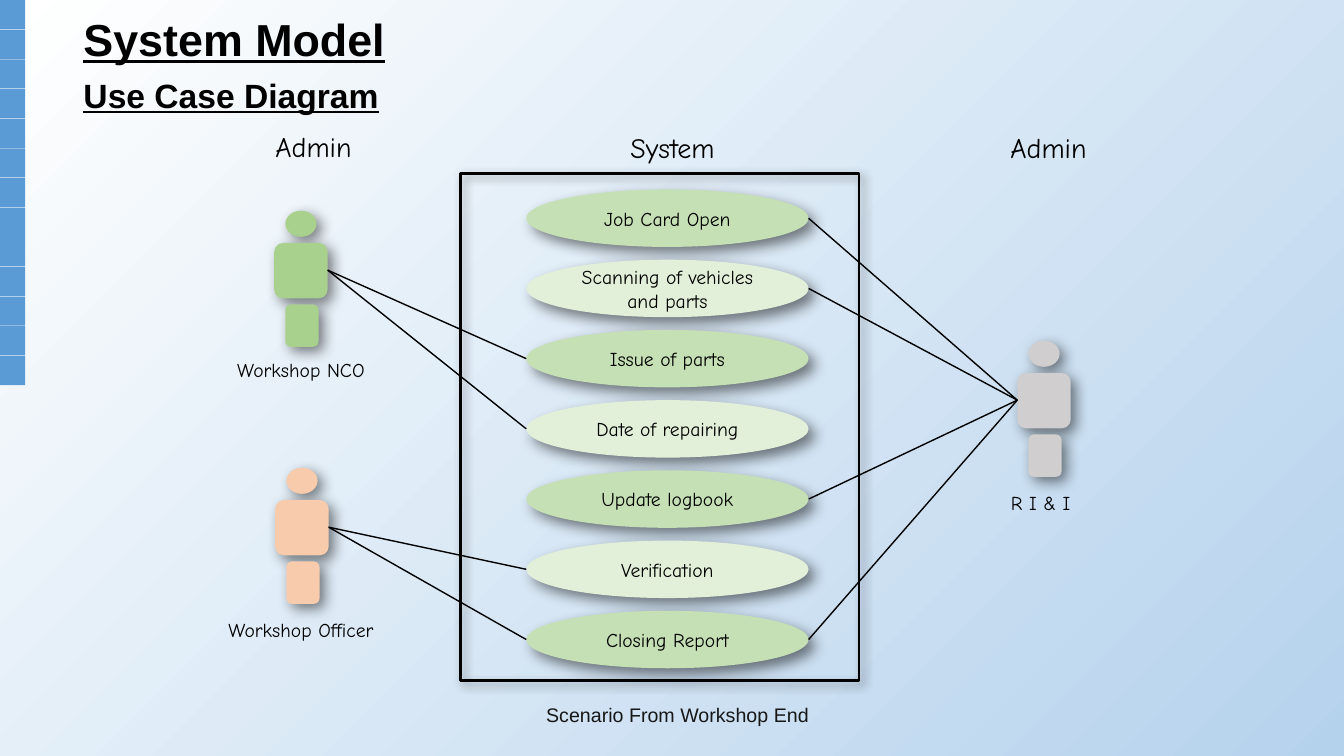
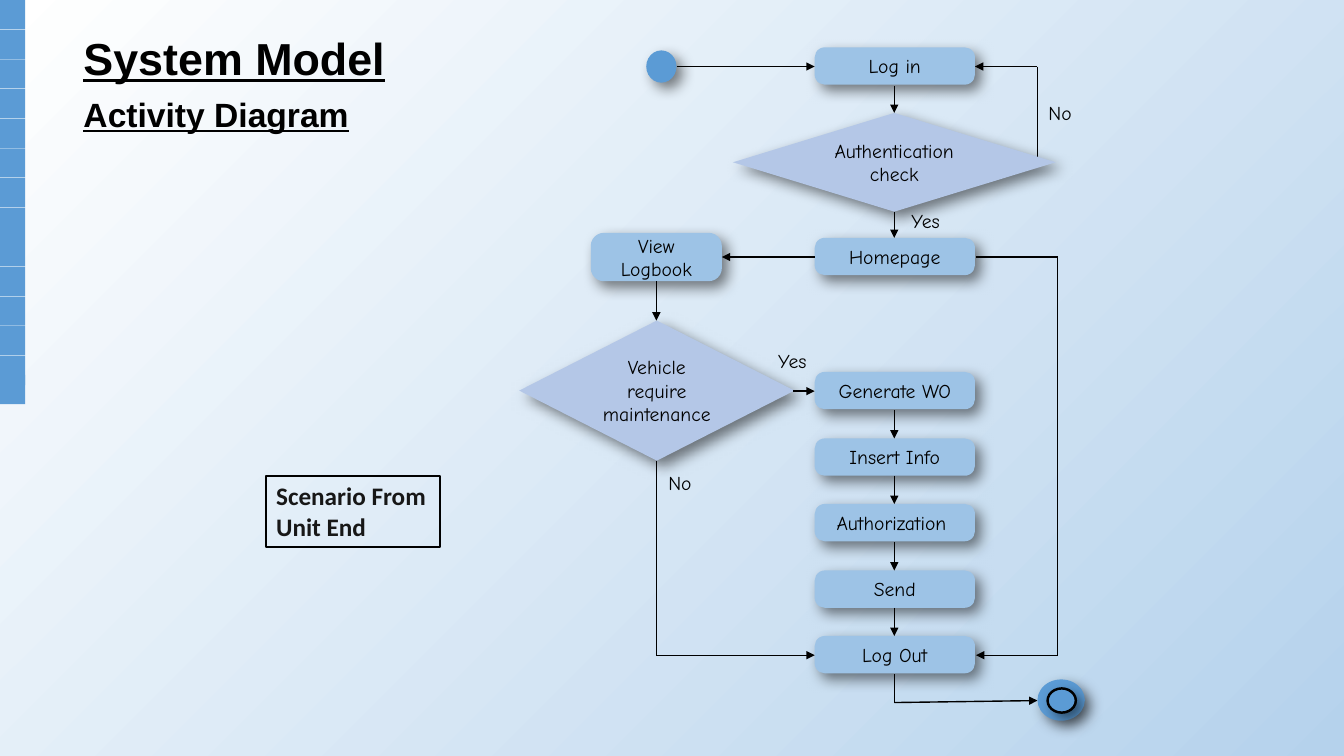
from pptx import Presentation
from pptx.dml.color import RGBColor
from pptx.enum import shapes, text
from pptx.oxml import parse_xml
from pptx.oxml.ns import nsdecls, qn
from pptx.util import Inches, Pt

BLACK = RGBColor(0x00, 0x00, 0x00)
INK = RGBColor(0x17, 0x17, 0x17)
WHITE = RGBColor(0xFF, 0xFF, 0xFF)
SKY = RGBColor(0xB5, 0xD2, 0xEC)
BLUE = RGBColor(0x5B, 0x9B, 0xD5)
STEP = RGBColor(0x9D, 0xC3, 0xE6)
DECISION = RGBColor(0xB4, 0xC7, 0xE7)
GREEN = RGBColor(0xC5, 0xE0, 0xB4)
PALE_GREEN = RGBColor(0xE2, 0xF0, 0xD9)
NCO = RGBColor(0xA9, 0xD1, 0x8E)
OFFICER = RGBColor(0xF8, 0xCB, 0xAD)
INSPECTOR = RGBColor(0xD0, 0xCE, 0xCE)

HAND = "Comic Neue"
SANS = "Arial"
KIND = shapes.MSO_SHAPE
LEFT, CENTER = text.PP_ALIGN.LEFT, text.PP_ALIGN.CENTER
TOP, MIDDLE, BOTTOM = text.MSO_ANCHOR.TOP, text.MSO_ANCHOR.MIDDLE, text.MSO_ANCHOR.BOTTOM


def add_box(s, kind, at, label="", fill=None, line=0, shadow=None, size=14, font=HAND,
            color=BLACK, bold=False, underline=False, align=CENTER, anchor=MIDDLE):
    at = [Inches(v) for v in at]
    if kind is None:
        sp = s.shapes.add_textbox(*at)
    else:
        sp = s.shapes.add_shape(kind, *at)
        sp.shadow.inherit = False
        if fill is None:
            sp.fill.background()
        else:
            sp.fill.solid()
            sp.fill.fore_color.rgb = fill
        if line:
            sp.line.color.rgb = BLACK
            sp.line.width = Pt(line)
        else:
            sp.line.fill.background()
    if shadow:
        alpha, blur, dist = shadow
        sp._element.spPr.find(qn("a:effectLst")).append(parse_xml(
            f'<a:outerShdw {nsdecls("a")} blurRad="{Pt(blur)}" dist="{Pt(dist)}" dir="2700000"'
            f' algn="tl" rotWithShape="0"><a:srgbClr val="000000">'
            f'<a:alpha val="{alpha * 1000}"/></a:srgbClr></a:outerShdw>'))
    if label:
        tf = sp.text_frame
        tf.word_wrap = True
        tf.vertical_anchor = anchor
        tf.text = label
        for p in tf.paragraphs:
            p.alignment = align
            p.font.name = font
            p.font.size = Pt(size)
            p.font.color.rgb = color
            p.font.bold = bold
            p.font.underline = underline
    return sp


def add_route(s, points, arrow=False):
    for start, end in zip(points, points[1:]):
        cx = s.shapes.add_connector(shapes.MSO_CONNECTOR.STRAIGHT,
                                    *[Inches(v) for v in start + end])
        cx.line.color.rgb = BLACK
        cx.line.width = Pt(1)
        cx._element.spPr.append(parse_xml(f'<a:effectLst {nsdecls("a")}/>'))
    if arrow:
        cx.line._get_or_add_ln().append(parse_xml(f'<a:tailEnd {nsdecls("a")} type="triangle"/>'))


prs = Presentation()
prs.slide_width = Inches(13.33)
prs.slide_height = Inches(7.5)

slides = []
for subtitle, title_top, band_tops in [
    ("Use Case Diagram", -0.14, [i * 3.53 / 12 for i in range(13)]),
    ("Activity Diagram", 0.05, [i * 3.53 / 12 for i in range(13)] + [3.72]),
]:
    s = prs.slides.add_slide(prs.slide_layouts[6])
    slides.append(s)
    bg = s.background.fill
    bg.gradient()
    bg.gradient_angle = 315
    for stop, position, color in zip(bg.gradient_stops, (0, 1), (WHITE, SKY)):
        stop.position = position
        stop.color.rgb = color
    for top in band_tops:
        add_box(s, KIND.RECTANGLE, (0, top, 0.25, 0.29), fill=BLUE)
    add_box(s, KIND.RECTANGLE, (0.73, title_top, 3.24, 0.84), "System Model", size=32, font=SANS,
            bold=True, underline=True, align=LEFT, anchor=BOTTOM)
    add_box(s, None, (0.73, title_top + 0.83, 3.24, 0.5), subtitle, size=24, font=SANS,
            bold=True, underline=True, align=LEFT, anchor=TOP)

use_case, activity = slides

s = use_case
caption = add_box(s, None, (4.79, 6.91, 3.59, 0.35), "Scenario From Workshop End", font=SANS,
                  color=INK, anchor=TOP)
caption.text_frame.margin_left = Inches(0.37)
caption.text_frame.paragraphs[0].line_spacing = 1.07

CASE_LEFT, CASE_W, CASE_H = 5.22, 2.8, 0.57
case_tops = [1.88 + i * 4.18 / 6 for i in range(7)]
cases = ["Job Card Open", "Scanning of vehicles and parts", "Issue of parts",
         "Date of repairing", "Update logbook", "Verification", "Closing Report"]
for i, (top, label) in enumerate(zip(case_tops, cases)):
    add_box(s, KIND.OVAL, (CASE_LEFT, top, CASE_W, CASE_H), label,
            fill=PALE_GREEN if i % 2 else GREEN, shadow=(50, 10, 6))

for x, y, color, name, name_at, hand_x, case_x, used in [
    (2.72, 2.09, NCO, "Workshop NCO", (2, 3.5), 3.25, CASE_LEFT, (2, 3)),
    (2.73, 4.64, OFFICER, "Workshop Officer", (2, 6.08), 3.26, CASE_LEFT, (5, 6)),
    (10.09, 3.38, INSPECTOR, "R I & I ", (9.37, 4.82), 10.09, CASE_LEFT + CASE_W, (0, 1, 4, 6)),
]:
    for kind, dx, dy, w, h in [(KIND.OVAL, 0.11, 0, 0.31, 0.26),
                               (KIND.ROUNDED_RECTANGLE, 0, 0.32, 0.53, 0.55),
                               (KIND.ROUNDED_RECTANGLE, 0.11, 0.93, 0.33, 0.42)]:
        add_box(s, kind, (x + dx, y + dy, w, h), fill=color, shadow=(50, 10, 5))
    add_box(s, None, (*name_at, 1.97, 0.26), name, anchor=TOP)
    for i in used:
        add_route(s, [(hand_x, y + 0.59), (case_x, case_tops[i] + CASE_H / 2)])

for label, left, top, width in [("Admin", 2.54, 1.24, 1.14), ("System", 5.96, 1.25, 1.42),
                                ("Admin", 9.82, 1.25, 1.16)]:
    add_box(s, None, (left, top, width, 0.34), label, size=20, anchor=TOP)
add_box(s, KIND.RECTANGLE, (4.57, 1.72, 3.95, 5.03), line=2, shadow=(40, 7, 3))

s = activity
add_route(s, [(10.29, 1.62), (10.29, 0.66), (9.67, 0.66)], arrow=True)

STEP_LEFT, STEP_W, STEP_H = 8.08, 1.59, 0.37
steps = [("Log in", 0.47), ("Homepage", 2.36), ("Generate WO", 3.69), ("Insert Info", 4.35),
         ("Authorization ", 5), ("Send", 5.66), ("Log Out", 6.31)]
boxes = [(label, (STEP_LEFT, top, STEP_W, STEP_H)) for label, top in steps]
for label, at in boxes + [("View Logbook", (5.86, 2.31, 1.3, 0.48))]:
    sp = add_box(s, KIND.ROUNDED_RECTANGLE, at, label, fill=STEP, shadow=(50, 10, 6))
    sp.adjustments[0] = 0.27
for label, at in [("Authentication\ncheck", (7.27, 1.12, 3.2, 0.98)),
                  ("Vehicle require maintenance", (5.15, 3.18, 2.73, 1.39))]:
    add_box(s, KIND.DIAMOND, at, label, fill=DECISION, shadow=(50, 10, 6))

MAIN_X, LOGBOOK_X = 8.87, 6.51
for start, end in [(0.85, 1.12), (2.1, 2.36), (4.07, 4.35), (4.72, 5), (5.38, 5.66), (6.03, 6.31)]:
    add_route(s, [(MAIN_X, start), (MAIN_X, end)], arrow=True)
for points in [
    [(6.71, 0.66), (8.08, 0.66)],
    [(8.08, 2.55), (7.16, 2.55)],
    [(7.87, 3.88), (8.08, 3.88)],
    [(LOGBOOK_X, 2.79), (LOGBOOK_X, 3.18)],
    [(LOGBOOK_X, 4.57), (LOGBOOK_X, 6.5), (8.08, 6.5)],
    [(MAIN_X, 6.69), (MAIN_X, 6.97), (10.29, 6.95)],
    [(9.68, 2.55), (10.49, 2.55), (10.49, 6.5), (9.68, 6.5)],
]:
    add_route(s, points, arrow=True)

for label, at in [("No", (6.53, 4.62, 0.76, 0.3)), ("Yes", (8.94, 2.02, 0.54, 0.34)),
                  ("Yes", (7.62, 3.41, 0.54, 0.34)), ("No", (10.3, 0.95, 0.93, 0.34))]:
    add_box(s, None, at, label, align=LEFT, anchor=TOP)
for at, line in [((6.41, 0.5, 0.3, 0.32), 0), ((10.29, 6.74, 0.47, 0.41), 0),
                 ((10.39, 6.83, 0.28, 0.24), 1.75)]:
    add_box(s, KIND.OVAL, at, fill=BLUE, line=line, shadow=(50, 10, 6))
add_box(s, KIND.RECTANGLE, (2.64, 4.72, 1.72, 0.71), "Scenario From Unit End", line=1.5, size=18,
        font="Calibri", color=INK, bold=True, align=LEFT, anchor=TOP)

prs.save("out.pptx")
